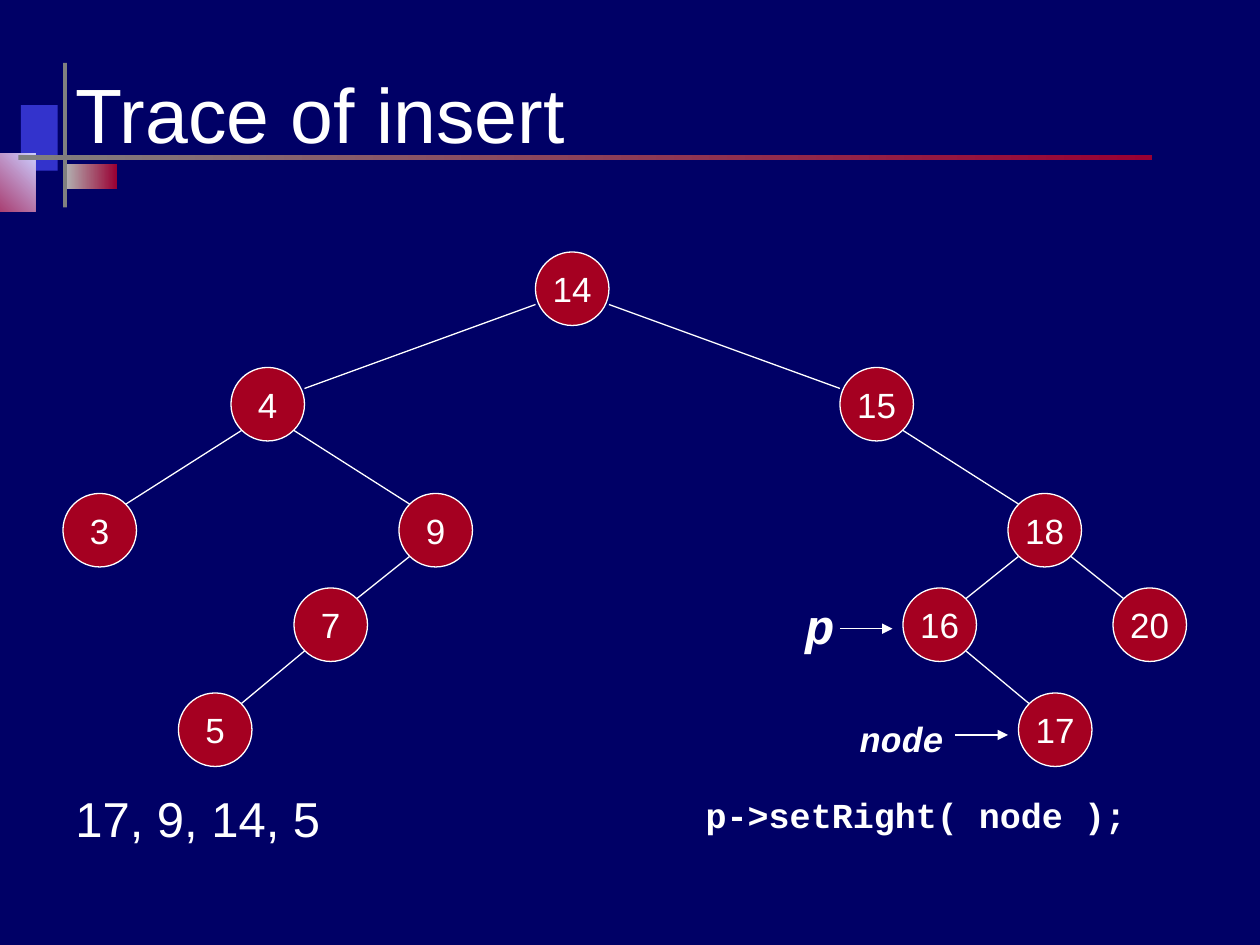
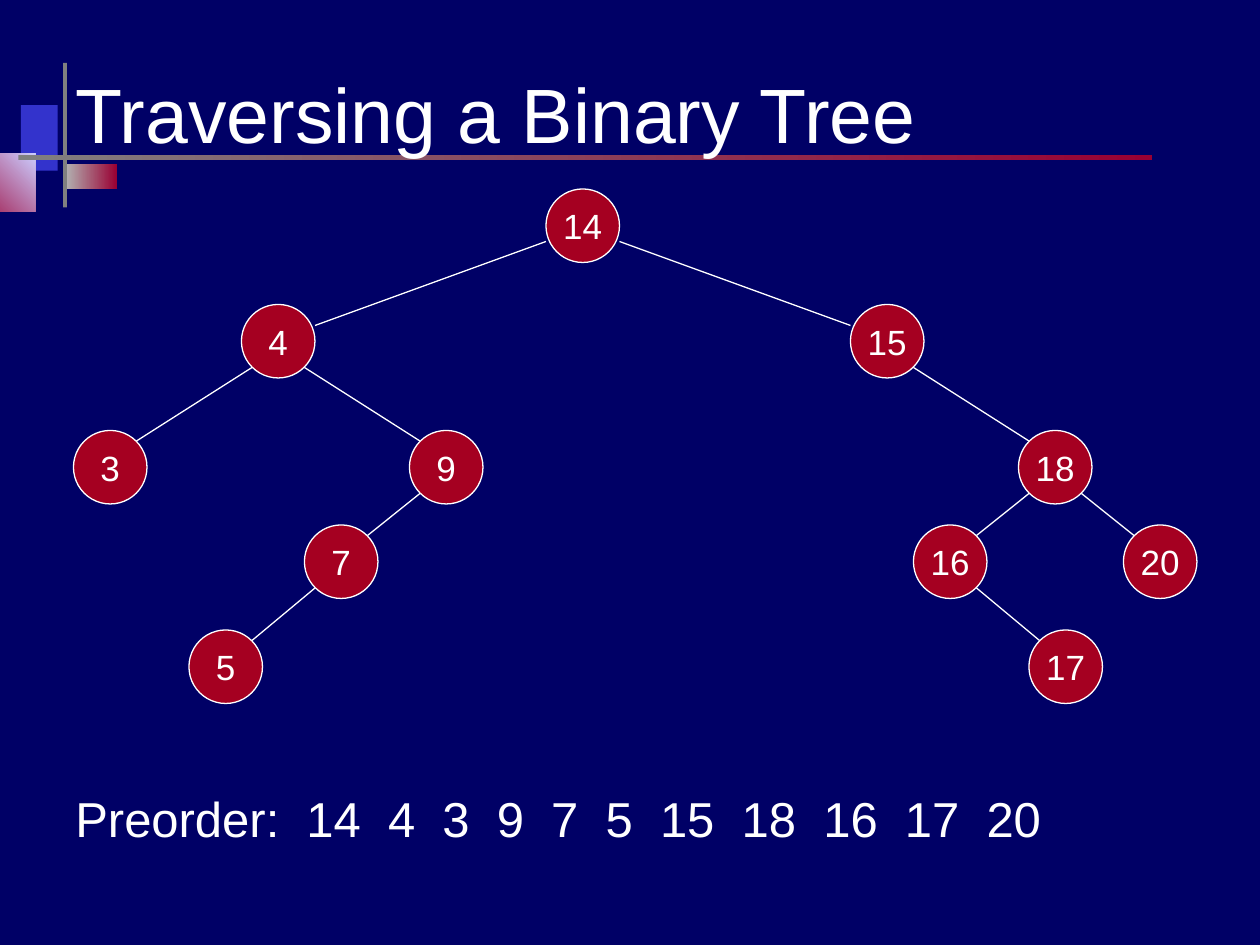
from lxml import etree
from pptx import Presentation
from pptx import util as u
from pptx.dml.color import RGBColor
from pptx.enum import shapes, text
from pptx.oxml.ns import qn

PX = 9525  # EMU per px, 96 px to the inch
COLORS = {
    "background": "000066", "text": "FFFFFF", "node": "A50021", "blue": "3333CC",
    "grey": "808080", "silver": "B2B2B2", "crimson": "990033", "lavender": "CCCCFF",
}
RGB = {name: RGBColor.from_string(value) for name, value in COLORS.items()}

# Left, top, width, height, fill colours, gradient angle
DECORATIONS = [
    (16, 80, 28, 50, ["blue"], 0),
    (50, 125, 39, 19, ["silver", "crimson"], 0),
    (-32, 117, 59, 44, ["crimson", "lavender"], 45),
    (48, 48, 3, 110, ["grey"], 0),
    (14, 118, 864, 4, ["grey", "crimson"], 0),
]
NODE_SIZE = 56
NODES = {
    14: (408, 192), 4: (176, 280), 15: (640, 280), 3: (48, 376), 9: (304, 376),
    18: (768, 376), 7: (224, 448), 16: (688, 448), 20: (848, 448),
    5: (136, 528), 17: (776, 528),
}
EDGES = [(14, 4), (14, 15), (4, 3), (4, 9), (15, 18), (9, 7), (18, 16), (18, 20),
         (7, 5), (16, 17)]
# Title, bottom line, shift of the tree
SLIDES = [
    ("Trace of insert", "17, 9, 14, 5", 0, 0),
    ("Traversing a Binary Tree", "Preorder:  14  4  3  9  7  5  15  18  16  17  20", 8, -48),
]
# Text, box, size, italic
CODE_LABELS = [
    ("p", (604, 449, 41, 55), 28, True),
    ("node", (645, 542, 84, 42), 20, True),
    ("p->setRight( node );", (528, 600, 340, 42), 20, False),
]
POINTERS = [(640, 479, 680, 479), (728, 560, 768, 560)]


def write_text(shape, content, size, font="Arial", align="LEFT", anchor="TOP",
               wrap=True, bold=False, italic=False):
    frame = shape.text_frame
    frame.word_wrap = wrap
    frame.vertical_anchor = text.MSO_ANCHOR[anchor]
    paragraph = frame.paragraphs[0]
    paragraph.alignment = text.PP_ALIGN[align]
    run = paragraph.add_run()
    run.text = content
    run.font.name = font
    run.font.size = u.Pt(size)
    run.font.bold = bold
    run.font.italic = italic
    run.font.color.rgb = RGB["text"]


def draw_line(slide, points, arrow=False):
    line = slide.shapes.add_connector(
        shapes.MSO_CONNECTOR.STRAIGHT, *[value * PX for value in points])
    line.line.color.rgb = RGB["text"]
    line.line.width = u.Pt(0.75)
    if arrow:
        etree.SubElement(line.line._get_or_add_ln(), qn("a:tailEnd"), type="triangle")
    etree.SubElement(line.element.spPr, qn("a:effectLst"))


presentation = Presentation()
presentation.slide_width = 960 * PX
presentation.slide_height = 720 * PX
background = presentation.slide_master.background.fill
background.solid()
background.fore_color.rgb = RGB["background"]
layout = presentation.slide_layouts.get_by_name("Title Only")
slides = [presentation.slides.add_slide(layout) for _ in SLIDES]

# Decorations are moved to the layout, so that both slides share them behind the title
for number, (*box, fill_colors, angle) in enumerate(DECORATIONS):
    decoration = slides[0].shapes.add_shape(
        shapes.MSO_SHAPE.RECTANGLE, *[value * PX for value in box])
    decoration.shadow.inherit = False
    decoration.line.fill.background()
    if len(fill_colors) == 1:
        decoration.fill.solid()
        decoration.fill.fore_color.rgb = RGB[fill_colors[0]]
    else:
        decoration.fill.gradient()
        decoration.fill.gradient_angle = angle
        for stop, color in zip(decoration.fill.gradient_stops, fill_colors):
            stop.color.rgb = RGB[color]
    decoration.element.nvSpPr.cNvPr.id = 20 + number
    layout.shapes.element.append(decoration.element)

for slide, (title_text, bottom_line, shift_x, shift_y) in zip(slides, SLIDES):
    title = slide.shapes.title
    title.left, title.top, title.width, title.height = [
        value * PX for value in (48, 38, 864, 96)]
    write_text(title, title_text, 44, anchor="MIDDLE")
    sequence = slide.shapes.add_textbox(48 * PX, 596 * PX, 864 * PX, 72 * PX)
    write_text(sequence, bottom_line, 28)

    for value, (x, y) in NODES.items():
        node = slide.shapes.add_shape(
            shapes.MSO_SHAPE.OVAL, (x + shift_x) * PX, (y + shift_y) * PX,
            NODE_SIZE * PX, NODE_SIZE * PX)
        node.shadow.inherit = False
        node.fill.solid()
        node.fill.fore_color.rgb = RGB["node"]
        node.line.color.rgb = RGB["text"]
        node.line.width = u.Pt(0.75)
        write_text(node, str(value), 20, align="CENTER", anchor="MIDDLE", wrap=False)

    for parent, child in EDGES:
        # Edges of the root leave and arrive at the sides, the others nearer the corners
        inset, drop = (0, 16) if parent == 14 else (8, 8)
        parent_x, parent_y = NODES[parent]
        child_x, child_y = NODES[child]
        near, far = inset, NODE_SIZE - inset
        if child_x > parent_x:
            near, far = far, near
        draw_line(slide, (parent_x + near + shift_x, parent_y + NODE_SIZE - drop + shift_y,
                          child_x + far + shift_x, child_y + drop + shift_y))

for label_text, box, size, italic in CODE_LABELS:
    label = slides[0].shapes.add_textbox(*[value * PX for value in box])
    write_text(label, label_text, size, font="Courier New", align="CENTER", wrap=False,
               bold=True, italic=italic)
for pointer in POINTERS:
    draw_line(slides[0], pointer, arrow=True)

presentation.save("out.pptx")
